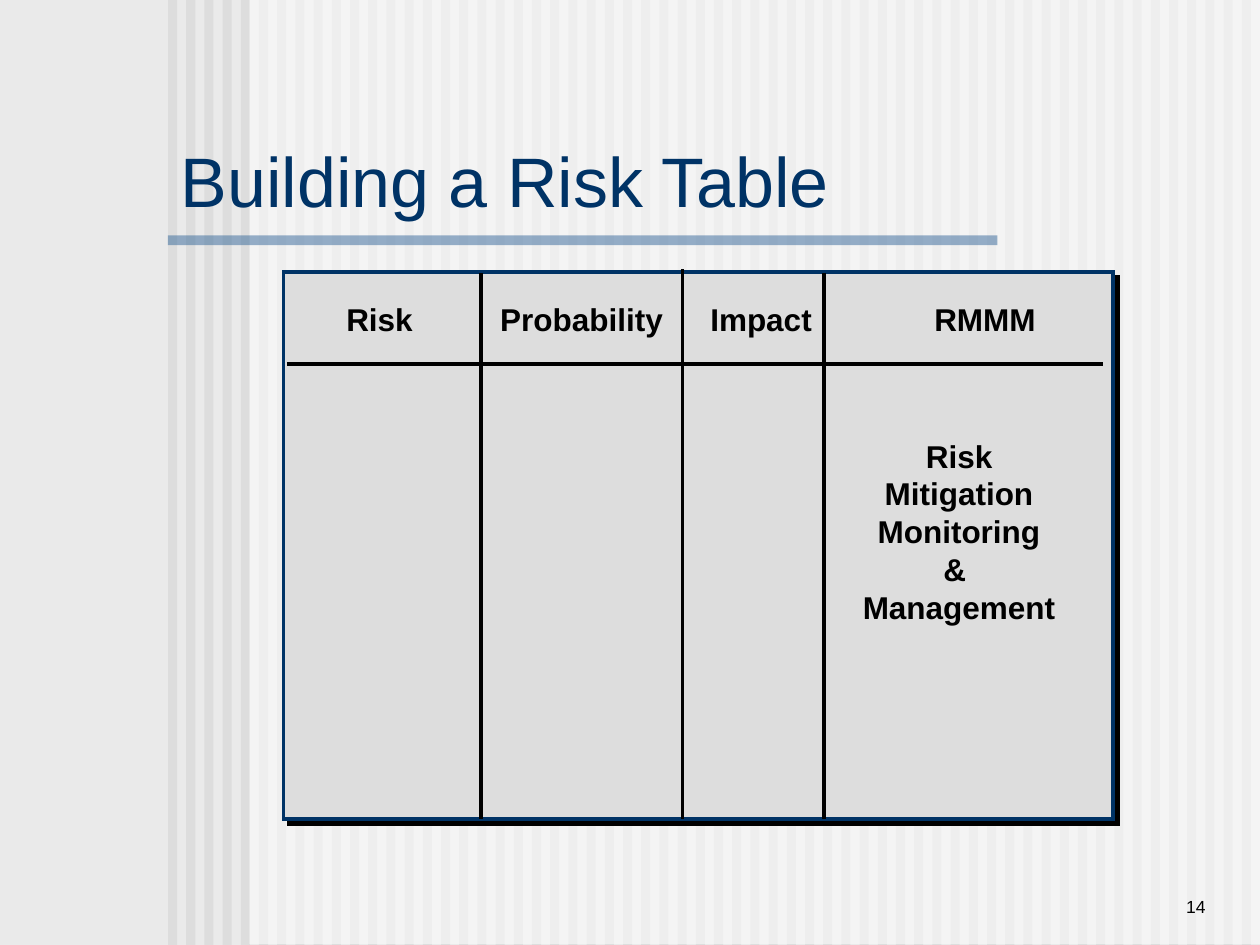
from dataclasses import dataclass

from lxml import etree
from pptx import Presentation
from pptx.dml.color import RGBColor
from pptx.enum.shapes import MSO_CONNECTOR, MSO_SHAPE
from pptx.enum.text import MSO_ANCHOR, MSO_AUTO_SIZE, PP_ALIGN
from pptx.oxml.ns import qn
from pptx.util import Pt

RECTANGLE = MSO_SHAPE.RECTANGLE
STRAIGHT = MSO_CONNECTOR.STRAIGHT
LEFT, CENTER, RIGHT = PP_ALIGN.LEFT, PP_ALIGN.CENTER, PP_ALIGN.RIGHT
TOP, MIDDLE, BOTTOM = MSO_ANCHOR.TOP, MSO_ANCHOR.MIDDLE, MSO_ANCHOR.BOTTOM

BACKGROUND = RGBColor(0xEA, 0xEA, 0xEA)
GRAY = RGBColor(0xDD, 0xDD, 0xDD)
WHITE = RGBColor(0xFF, 0xFF, 0xFF)
BLUE = RGBColor(0x33, 0x66, 0x99)
NAVY = RGBColor(0x00, 0x33, 0x66)
BLACK = RGBColor(0x00, 0x00, 0x00)

FONT = "Arial"
SLIDE_WIDTH, SLIDE_HEIGHT = 720, 540
STRIPE_LEFT, STRIPE_PITCH, STRIPE_WIDTH, STRIPE_COUNT = 96, 10.4, 5.2, 60
LINE_WIDTH = 2
HEADER_TOP, HEADER_HEIGHT = 167.8, 28.8


@dataclass(frozen=True)
class Box:
    left: float
    top: float
    width: float
    height: float

    def lengths(self) -> tuple:
        return Pt(self.left), Pt(self.top), Pt(self.width), Pt(self.height)


@dataclass(frozen=True)
class Rule:
    x1: float
    y1: float
    x2: float
    y2: float


@dataclass(frozen=True)
class Label:
    text: str
    box: Box
    size: float = 18
    bold: bool = True
    align: PP_ALIGN = LEFT
    anchor: MSO_ANCHOR = TOP
    wrap: bool = False


RULES = [
    Rule(275, 156, 275, 468),
    Rule(390, 154, 390, 468),
    Rule(471, 156, 471, 468),
    Rule(164, 208, 630, 208),
]

LABELS = [
    Label("14", Box(594, 491.5, 102, 36), 10, False, RIGHT, BOTTOM, True),
    Label("Risk", Box(190.8, HEADER_TOP, 53, HEADER_HEIGHT)),
    Label("Probability", Box(278.8, HEADER_TOP, 107.6, HEADER_HEIGHT)),
    Label("Impact", Box(398.8, HEADER_TOP, 73, HEADER_HEIGHT)),
    Label("RMMM", Box(526.8, HEADER_TOP, 73, HEADER_HEIGHT)),
    Label("Risk\nMitigation\nMonitoring\n& \nManagement",
          Box(485.8, 246, 124.5, 115.2), align=CENTER),
]


def add_rectangle(shapes, box: Box, color: RGBColor, opacity: int = 100):
    shape = shapes.add_shape(RECTANGLE, *box.lengths())
    shape.shadow.inherit = False
    shape.fill.solid()
    shape.fill.fore_color.rgb = color
    shape.line.fill.background()
    if opacity < 100:
        fill_color = shape.element.spPr.find(qn("a:solidFill"))[0]
        etree.SubElement(fill_color, qn("a:alpha"), val=str(opacity * 1000))
    return shape


def add_offset_shadow(shape, distance: float) -> None:
    effects = shape.element.spPr.find(qn("a:effectLst"))
    shadow = etree.SubElement(
        effects, qn("a:outerShdw"), blurRad="0", dist=str(Pt(distance)),
        dir="2700000", algn="ctr", rotWithShape="0")
    etree.SubElement(shadow, qn("a:srgbClr"), val=str(BLACK))


def set_outline(shape, color: RGBColor) -> None:
    shape.line.color.rgb = color
    shape.line.width = Pt(LINE_WIDTH)
    outline = shape.element.spPr.find(qn("a:ln"))
    etree.SubElement(outline, qn("a:miter"), lim="800000")


def add_rule(shapes, rule: Rule) -> None:
    connector = shapes.add_connector(
        STRAIGHT, Pt(rule.x1), Pt(rule.y1), Pt(rule.x2), Pt(rule.y2))
    set_outline(connector, BLACK)
    etree.SubElement(connector.element.spPr, qn("a:effectLst"))


def write_text(shape, label: Label, color: RGBColor) -> None:
    text_frame = shape.text_frame
    text_frame.text = label.text
    text_frame.word_wrap = label.wrap
    text_frame.auto_size = MSO_AUTO_SIZE.NONE if label.wrap else MSO_AUTO_SIZE.SHAPE_TO_FIT_TEXT
    text_frame.vertical_anchor = label.anchor
    for paragraph in text_frame.paragraphs:
        paragraph.alignment = label.align
        for run in paragraph.runs:
            run.font.name = FONT
            run.font.size = Pt(label.size)
            run.font.bold = label.bold
            run.font.color.rgb = color


presentation = Presentation()
presentation.slide_width = Pt(SLIDE_WIDTH)
presentation.slide_height = Pt(SLIDE_HEIGHT)
slide = presentation.slides.add_slide(presentation.slide_layouts[5])
shapes = slide.shapes

# Striped background
slide.background.fill.solid()
slide.background.fill.fore_color.rgb = BACKGROUND
backdrop = shapes.add_group_shape().shapes
for index in range(STRIPE_COUNT):
    stripe_left = round(STRIPE_LEFT + index * STRIPE_PITCH, 2)
    add_rectangle(backdrop, Box(stripe_left, 0, STRIPE_WIDTH, SLIDE_HEIGHT), GRAY)
add_rectangle(backdrop, Box(142.5, -0.6, 577.5, SLIDE_HEIGHT), WHITE, 50)
add_rectangle(backdrop, Box(96, 134.5, 474, 5.6), BLUE, 50)

# Title, raised above the background
title = shapes.title
shapes.element.append(title.element)
title_label = Label("Building a Risk Table", Box(96, 77.5, 415, 50), 40, False,
                    anchor=MIDDLE, wrap=True)
title.left, title.top, title.width, title.height = title_label.box.lengths()
write_text(title, title_label, NAVY)

# Risk table panel and its rules
panel = add_rectangle(shapes, Box(162, 155.5, 474, 312.5), GRAY)
set_outline(panel, NAVY)
add_offset_shadow(panel, 4.2)
for rule in RULES:
    add_rule(shapes, rule)

# Column headings, explanation and page number
for label in LABELS:
    write_text(shapes.add_textbox(*label.box.lengths()), label, BLACK)

presentation.save("out.pptx")
